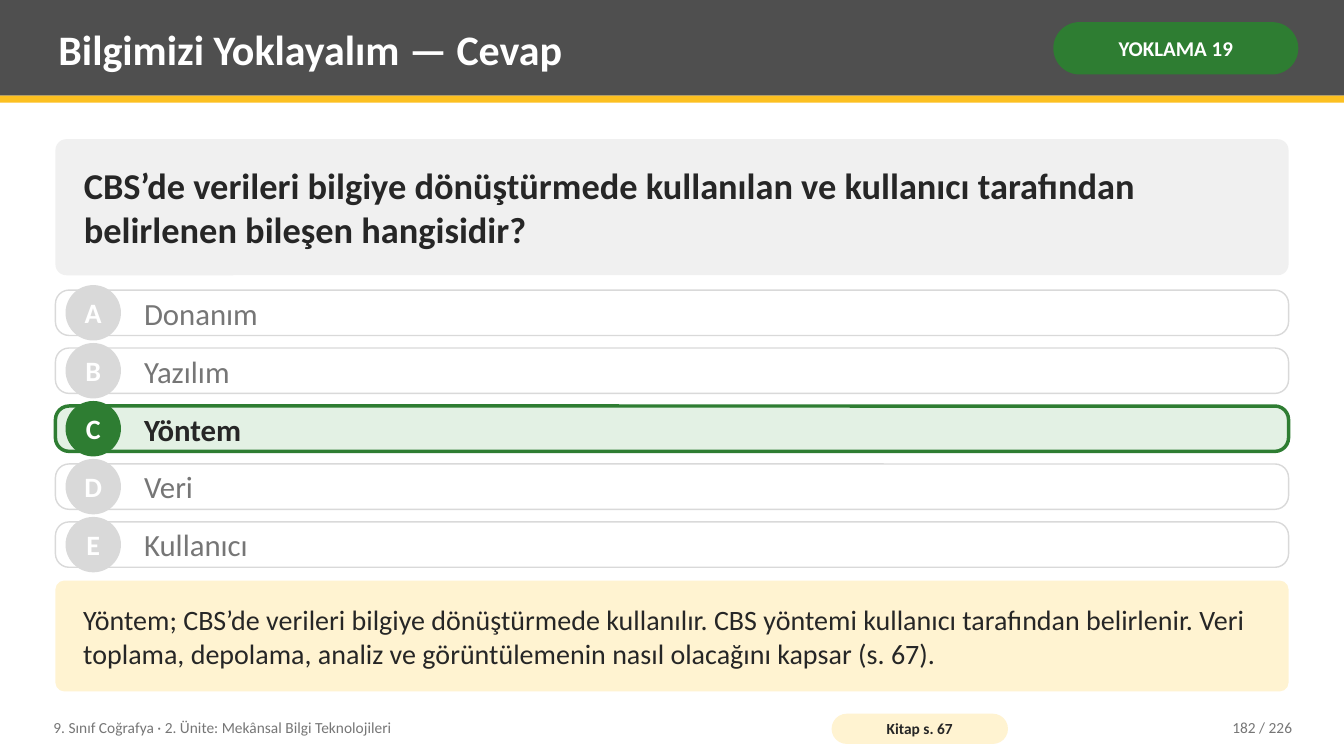
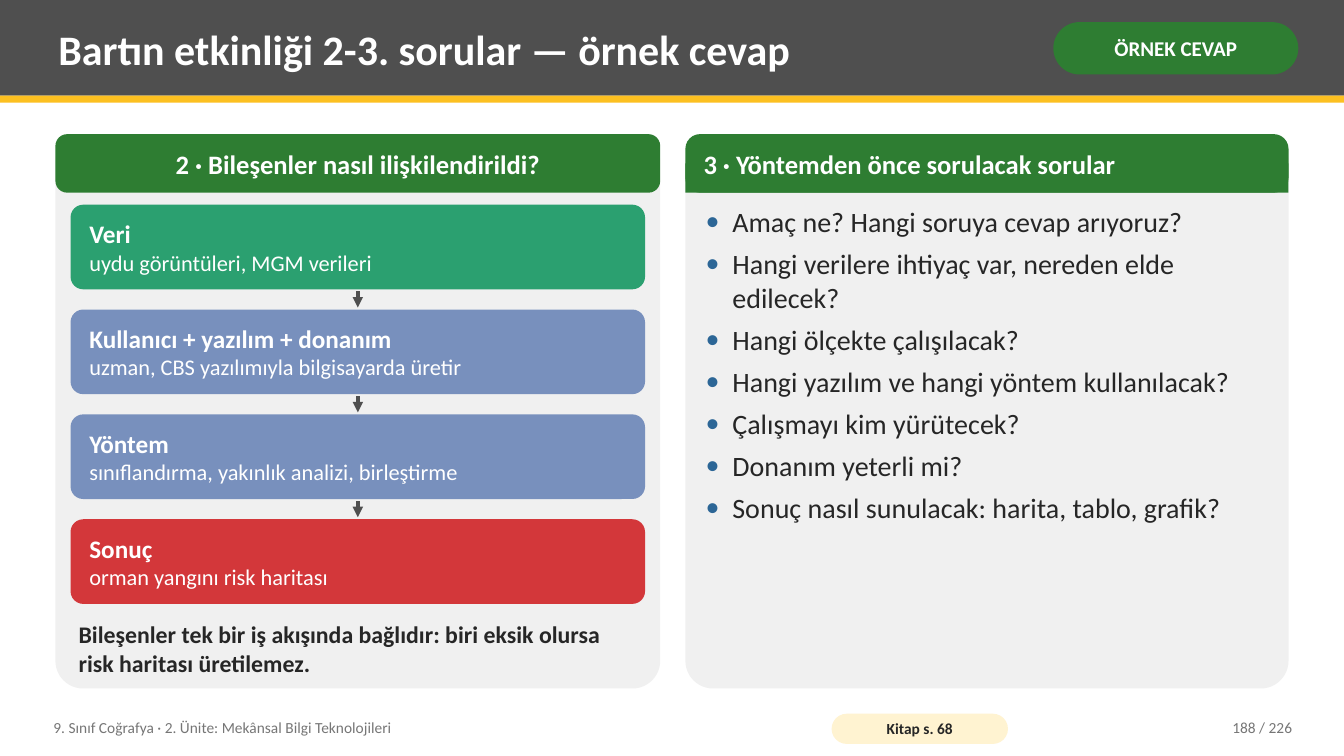
from pptx import Presentation
from pptx.dml.color import RGBColor
from pptx.enum.shapes import MSO_CONNECTOR, MSO_SHAPE
from pptx.enum.text import MSO_ANCHOR, PP_ALIGN
from pptx.oxml.ns import qn
from pptx.util import Pt
from lxml import etree

RECT, ROUND, OVAL = MSO_SHAPE.RECTANGLE, MSO_SHAPE.ROUNDED_RECTANGLE, MSO_SHAPE.OVAL
LEFT, CENTER, RIGHT = PP_ALIGN.LEFT, PP_ALIGN.CENTER, PP_ALIGN.RIGHT
MIDDLE, TOP = MSO_ANCHOR.MIDDLE, MSO_ANCHOR.TOP
STRAIGHT = MSO_CONNECTOR.STRAIGHT

# Content
FOOTER = "9. Sınıf Coğrafya · 2. Ünite: Mekânsal Bilgi Teknolojileri"
QUIZ = {
    "title": "Bilgimizi Yoklayalım — Cevap",
    "badge": "YOKLAMA 19",
    "source": "Kitap s. 67",
    "number": "182 / 226",
    "question": "CBS’de verileri bilgiye dönüştürmede kullanılan ve kullanıcı "
                "tarafından belirlenen bileşen hangisidir?",
    "options": ["Donanım", "Yazılım", "Yöntem", "Veri", "Kullanıcı"],
    "correct": "Yöntem",
    "explanation": "Yöntem; CBS’de verileri bilgiye dönüştürmede kullanılır. CBS yöntemi "
                   "kullanıcı tarafından belirlenir. Veri toplama, depolama, analiz ve "
                   "görüntülemenin nasıl olacağını kapsar (s. 67).",
}
ACTIVITY = {
    "title": "Bartın etkinliği 2-3. sorular — örnek cevap",
    "badge": "ÖRNEK CEVAP",
    "source": "Kitap s. 68",
    "number": "188 / 226",
    "flow_title": "2 · Bileşenler nasıl ilişkilendirildi?",
    "flow": [
        ("Veri", "uydu görüntüleri, MGM verileri", "teal"),
        ("Kullanıcı + yazılım + donanım", "uzman, CBS yazılımıyla bilgisayarda üretir", "blue"),
        ("Yöntem", "sınıflandırma, yakınlık analizi, birleştirme", "blue"),
        ("Sonuç", "orman yangını risk haritası", "red"),
    ],
    "flow_note": "Bileşenler tek bir iş akışında bağlıdır: biri eksik olursa "
                 "risk haritası üretilemez.",
    "list_title": "3 · Yöntemden önce sorulacak sorular",
    "list": [
        "Amaç ne? Hangi soruya cevap arıyoruz?",
        "Hangi verilere ihtiyaç var, nereden elde edilecek?",
        "Hangi ölçekte çalışılacak?",
        "Hangi yazılım ve hangi yöntem kullanılacak?",
        "Çalışmayı kim yürütecek?",
        "Donanım yeterli mi?",
        "Sonuç nasıl sunulacak: harita, tablo, grafik?",
    ],
}


# Theme: colours, and text styles as (size, bold, colour)
class Theme:
    font = "Calibri"
    colors = {
        "white": "FFFFFF", "dark": "4F4F4F", "yellow": "FCC021", "cream": "FFF3D1",
        "green": "2E7D32", "mint": "E3F1E4", "panel": "F0F0F0", "border": "D9D9D9",
        "ink": "262626", "muted": "767676", "bullet": "2C6696",
        "teal": "2BA070", "blue": "7890BD", "red": "D3373A",
    }
    styles = {
        "title": (30, True, "white"), "badge": (15, True, "white"),
        "question": (26, True, "ink"), "letter": (20, True, "white"),
        "option": (22, False, "muted"), "answer": (22, True, "ink"),
        "body": (20, False, "ink"), "panel": (19, True, "white"),
        "step": (18, True, "white"), "detail": (16, False, "white"),
        "note": (17, True, "ink"), "footer": (11, False, "muted"),
        "source": (11, True, "ink"),
    }


# Geometry
PAGE_W, PAGE_H = 960, 540
MARGIN = 39.6
CONTENT_W = PAGE_W - 2 * MARGIN
HEADER_H = 68.4
TEXT_INSETS = (5.76, 2.88)
CARD_INSETS = (18, 5.76)


def color(name):
    return RGBColor.from_string(Theme.colors[name])


def write(box, paras, align=LEFT, anchor=MIDDLE, insets=TEXT_INSETS, wrap=True):
    """Fill a box with (text, style) paragraphs."""
    frame = box.text_frame
    side, edge = (Pt(value) for value in insets)
    settings = {"word_wrap": wrap, "vertical_anchor": anchor, "margin_left": side,
                "margin_right": side, "margin_top": edge, "margin_bottom": edge}
    for name, value in settings.items():
        setattr(frame, name, value)
    for index, (text, style) in enumerate(paras):
        para = frame.add_paragraph() if index else frame.paragraphs[0]
        para.alignment = align
        span = para.add_run()
        span.text = text
        size, bold, ink = Theme.styles[style]
        for name, value in {"name": Theme.font, "size": Pt(size), "bold": bold}.items():
            setattr(span.font, name, value)
        span.font.color.rgb = color(ink)
    return box


def add_text(page, area, paras, **layout):
    return write(page.shapes.add_textbox(*map(Pt, area)), paras, **layout)


def add_box(page, kind, area, fill, radius=None, line=None, paras=(), **layout):
    box = page.shapes.add_shape(kind, *map(Pt, area))
    box.shadow.inherit = False
    box.fill.solid()
    box.fill.fore_color.rgb = color(fill)
    if radius is not None:
        box.adjustments[0] = radius
    if line:
        line_color, width = line
        box.line.color.rgb = color(line_color)
        box.line.width = Pt(width)
    else:
        box.line.fill.background()
    if paras:
        write(box, paras, **layout)
    return box


def add_arrow(page, x, top, bottom):
    arrow = page.shapes.add_connector(STRAIGHT, Pt(x), Pt(top), Pt(x), Pt(bottom))
    arrow.line.color.rgb = color("dark")
    arrow.line.width = Pt(2.5)
    etree.SubElement(arrow.line._get_or_add_ln(), qn("a:tailEnd"), type="triangle")
    etree.SubElement(arrow._element.spPr, qn("a:effectLst"))


def add_bullet(para, indent):
    props = para._p.get_or_add_pPr()
    props.set("marL", str(Pt(indent)))
    props.set("indent", str(-Pt(indent)))
    tint = etree.SubElement(props, qn("a:buClr"))
    etree.SubElement(tint, qn("a:srgbClr"), val=Theme.colors["bullet"])
    etree.SubElement(props, qn("a:buFont"), typeface=Theme.font)
    etree.SubElement(props, qn("a:buChar"), char="•")


def add_page(deck, content):
    """Add a page with the shared header and footer."""
    page = deck.slides.add_slide(deck.slide_layouts[6])
    page.background.fill.solid()
    page.background.fill.fore_color.rgb = color("white")
    add_box(page, RECT, (0, 0, PAGE_W, HEADER_H), "dark")
    add_box(page, RECT, (0, HEADER_H, PAGE_W, 5), "yellow")
    add_text(page, (36, 5, 702, 59), [(content["title"], "title")])
    add_box(page, ROUND, (752.4, 15.8, 175, 37.4), "green", 0.5,
            paras=[(content["badge"], "badge")], align=CENTER, insets=(3.6, 1.44))
    add_text(page, (32.4, 506.9, 547.2, 25.9), [(FOOTER, "footer")])
    add_box(page, ROUND, (594, 509.8, 126, 21.6), "cream", 0.5,
            paras=[(content["source"], "source")], align=CENTER, insets=(2.88, 0))
    add_text(page, (813.6, 506.9, 115.2, 25.9), [(content["number"], "footer")], align=RIGHT)
    return page


def build_quiz(deck, quiz):
    page = add_page(deck, quiz)
    add_box(page, ROUND, (MARGIN, 99.4, CONTENT_W, 97.2), "panel", 0.08,
            paras=[(quiz["question"], "question")], insets=CARD_INSETS)

    # Answer options
    first_top, pitch, row_h, disc = 207.2, 41.4, 32.4, 39.6
    for index, option in enumerate(quiz["options"]):
        top = first_top + index * pitch
        if option == quiz["correct"]:
            fill, line, disc_fill, style = "mint", ("green", 2.5), "green", "answer"
        else:
            fill, line, disc_fill, style = "white", ("border", 1), "border", "option"
        add_box(page, ROUND, (MARGIN, top, CONTENT_W, row_h), fill, 0.3, line)
        add_box(page, OVAL, (MARGIN + 7.2, top + (row_h - disc) / 2, disc, disc), disc_fill,
                paras=[("ABCDE"[index], "letter")], align=CENTER, insets=(0, 0), wrap=False)
        add_text(page, (97.2, top, 808.6, row_h), [(option, style)])

    add_box(page, ROUND, (MARGIN, 414.7, CONTENT_W, 79.2), "cream", 0.08,
            paras=[(quiz["explanation"], "body")], insets=CARD_INSETS)


def build_activity(deck, activity):
    page = add_page(deck, activity)
    top, panel_h, head_h = 95.8, 396, 41.8
    flow_w, list_x = 432, 489.6
    list_w = PAGE_W - MARGIN - list_x

    # Workflow panel
    add_box(page, ROUND, (MARGIN, top, flow_w, panel_h), "panel", 0.05)
    add_box(page, ROUND, (MARGIN, top, flow_w, head_h), "green", 0.2,
            paras=[(activity["flow_title"], "panel")], align=CENTER, insets=(10, 5.76))
    step_x, step_w, step_h, pitch, gap = MARGIN + 10.8, flow_w - 21.6, 60.5, 74.9, 1.44
    for index, (name, detail, fill) in enumerate(activity["flow"]):
        step_top = 146.2 + index * pitch
        if index:
            add_arrow(page, step_x + step_w / 2, step_top - pitch + step_h + gap, step_top - gap)
        add_box(page, ROUND, (step_x, step_top, step_w, step_h), fill, 0.15,
                paras=[(name, "step"), (detail, "detail")], insets=(10.8, 5.76))
    add_text(page, (step_x, 435.6, step_w, 55.4), [(activity["flow_note"], "note")])

    # Question list panel, with a header squared off at the bottom
    add_box(page, ROUND, (list_x, top, list_w, panel_h), "panel", 0.05)
    add_box(page, ROUND, (list_x, top, list_w, head_h), "green", 0.25)
    add_box(page, RECT, (list_x, top + head_h / 2, list_w, head_h / 2), "green")
    add_text(page, (list_x + 7.2, top, list_w - 14.4, head_h), [(activity["list_title"], "panel")])
    box = add_text(page, (list_x + 8.6, 143.3, list_w - 17.2, 342.7),
                   [(text, "body") for text in activity["list"]], anchor=TOP)
    paras = box.text_frame.paragraphs
    for para in paras:
        add_bullet(para, 19.2)
    for para in paras[:-1]:
        para.space_after = Pt(6)


def main():
    deck = Presentation()
    deck.slide_width, deck.slide_height = Pt(PAGE_W), Pt(PAGE_H)
    build_quiz(deck, QUIZ)
    build_activity(deck, ACTIVITY)
    deck.save("out.pptx")


if __name__ == "__main__":
    main()
